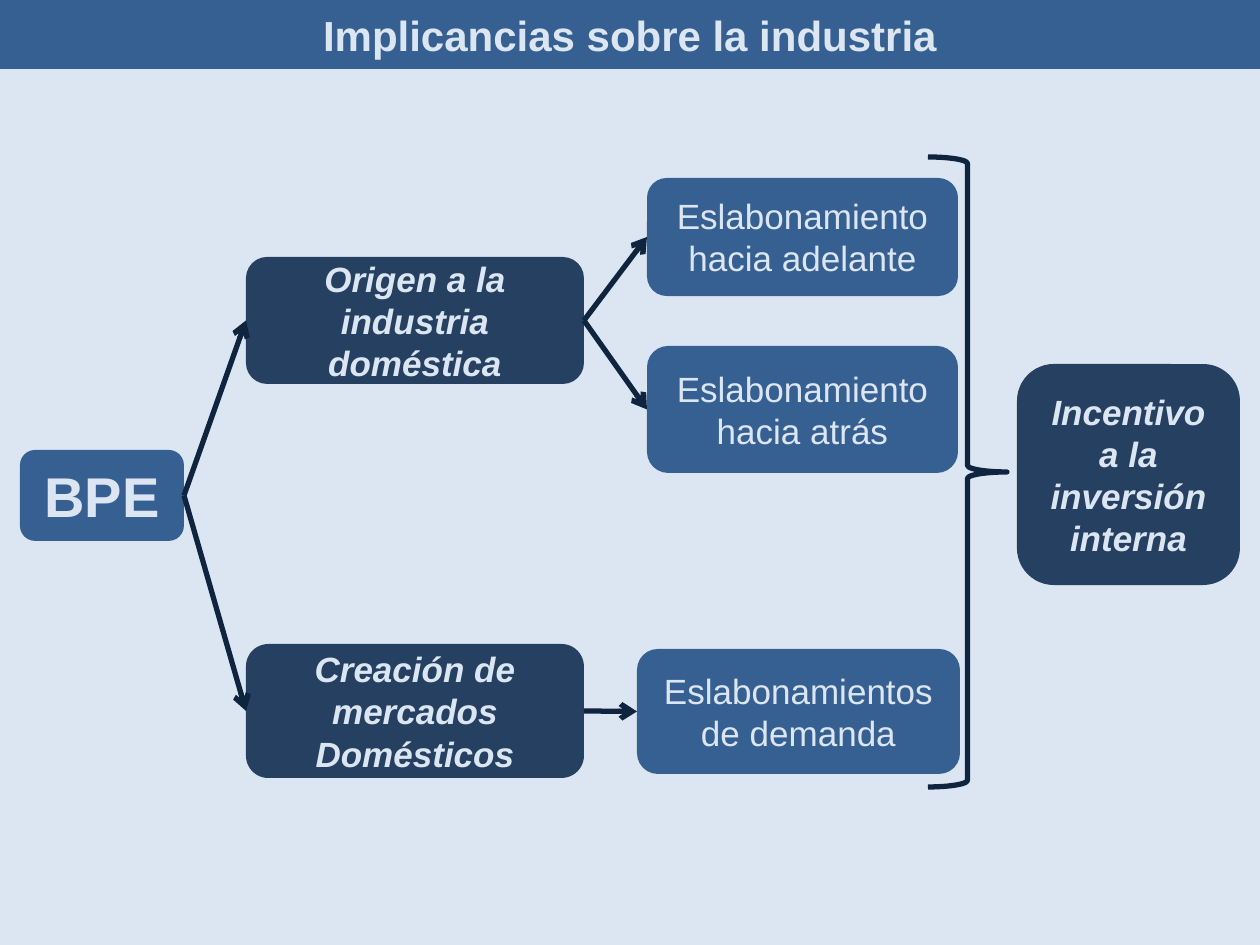
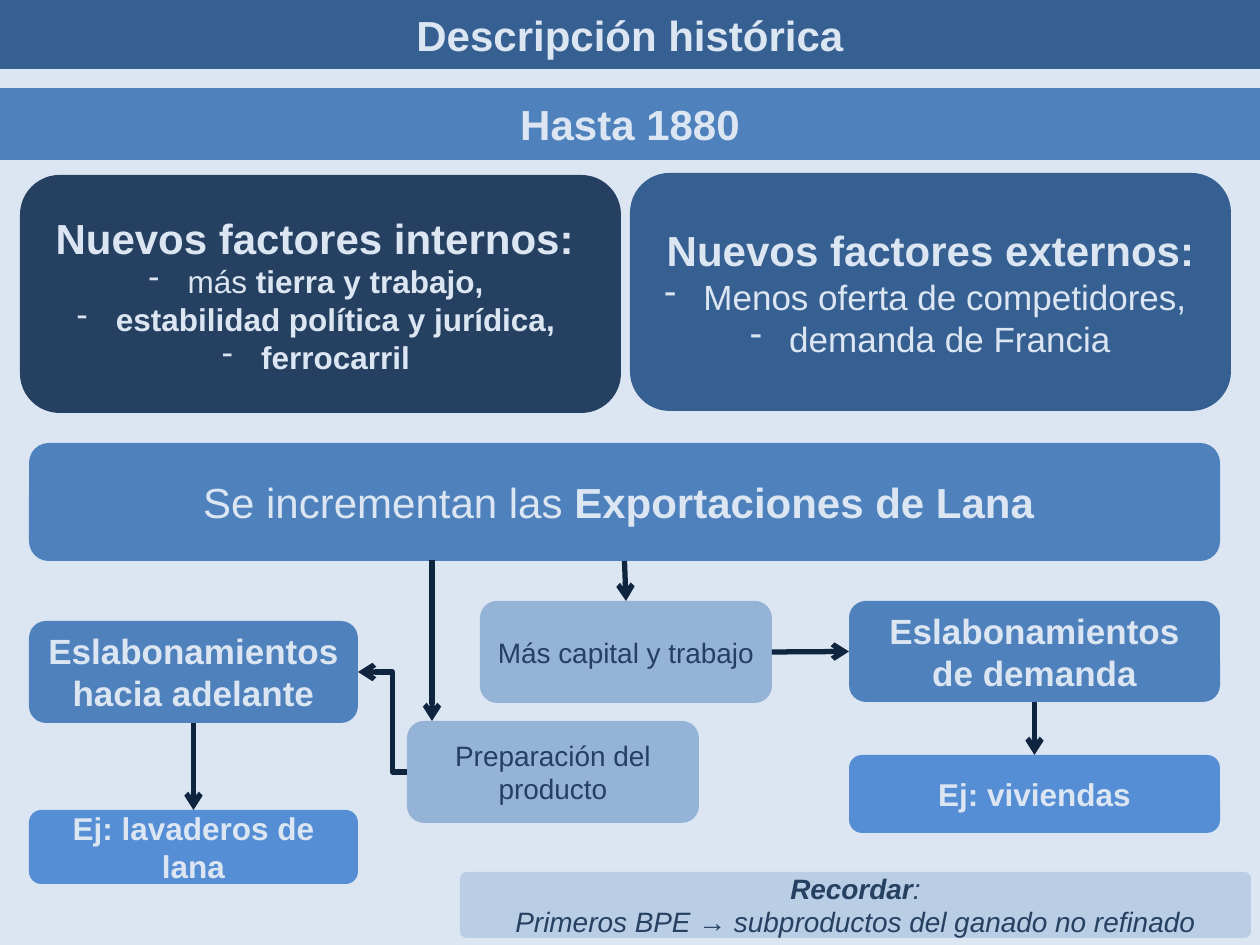
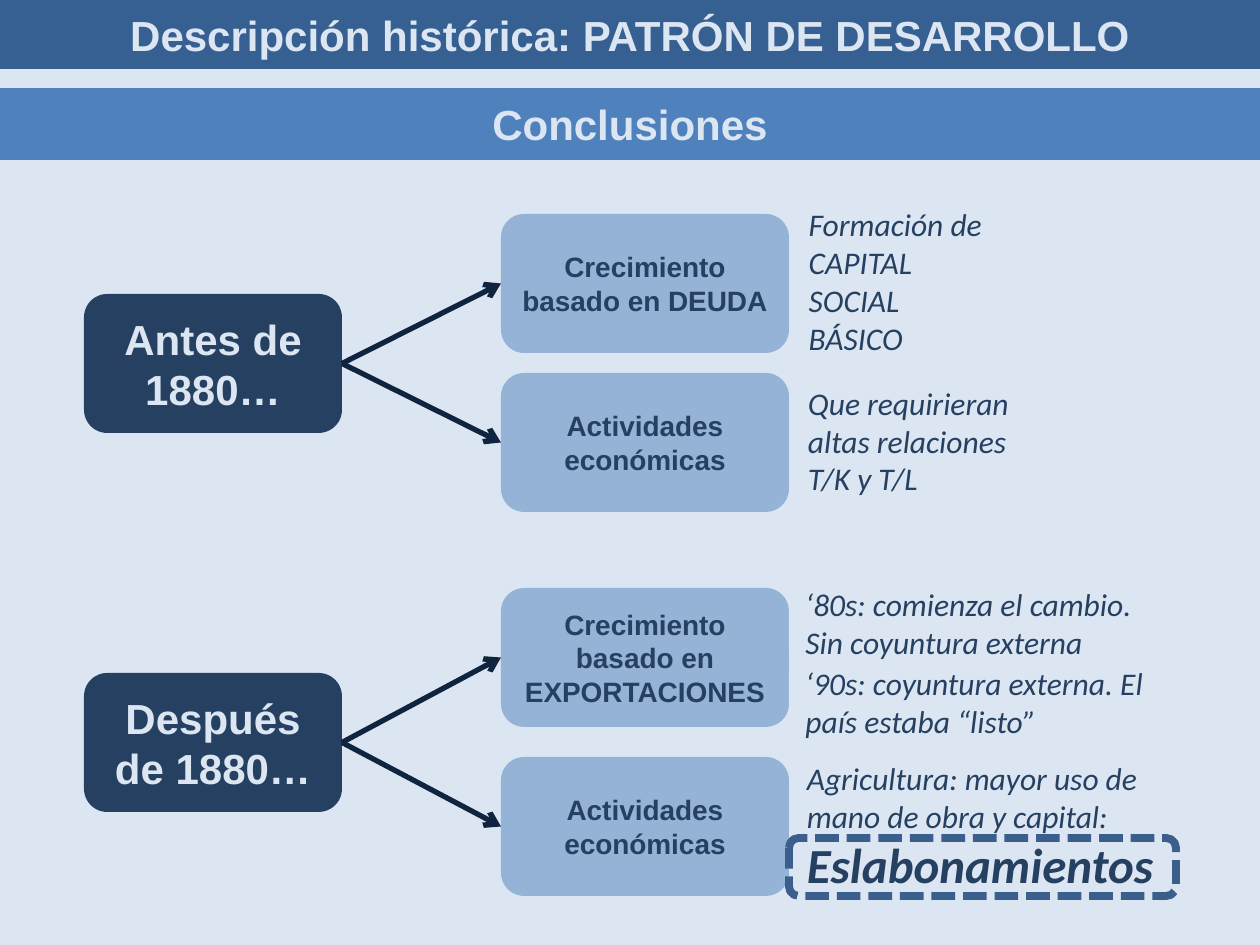
from lxml import etree
from pptx import Presentation
from pptx import util as u
from pptx.dml.color import RGBColor
from pptx.enum import dml, shapes, text
from pptx.oxml.ns import qn

SCALE = 914400 / 126
PALE = RGBColor(0xDC, 0xE6, 0xF2)
MIST = RGBColor(0xB9, 0xCD, 0xE5)
SKY = RGBColor(0x95, 0xB3, 0xD7)
VIVID = RGBColor(0x55, 0x8E, 0xD5)
BLUE = RGBColor(0x4F, 0x81, 0xBD)
STEEL = RGBColor(0x37, 0x60, 0x92)
NAVY = RGBColor(0x25, 0x40, 0x61)
INK = RGBColor(0x0F, 0x24, 0x3E)
DASH = RGBColor(0x3A, 0x5F, 0x8C)
ROUND = shapes.MSO_SHAPE.ROUNDED_RECTANGLE
RECT = shapes.MSO_SHAPE.RECTANGLE
TOP, LEFT, BOTTOM, RIGHT = range(4)


def px(num):
    """Turn pixels into EMU."""
    return u.Emu(round(num * SCALE))


def add(parent, tag, **attrs):
    """Append an XML element with attributes."""
    node = etree.SubElement(parent, qn(tag))
    for key, val in attrs.items():
        node.set(key, val)
    return node


def dash(para):
    """Give a paragraph a hanging dash."""
    props = para._p.get_or_add_pPr()
    props.set("marL", str(px(39)))
    props.set("indent", str(-px(39)))
    add(props, "a:buFontTx")
    add(props, "a:buChar", char="-")


def write(shape, words, size=20, rest=None, loud=None, color=PALE, font="Arial",
          bold=False, italic=False, align=text.PP_ALIGN.CENTER, dashes=False):
    """Write lines into a shape; asterisks enclose bold runs."""
    frame = shape.text_frame
    frame.word_wrap = True
    frame.vertical_anchor = text.MSO_ANCHOR.MIDDLE
    for row, line in enumerate(words.split("\n")):
        para = frame.paragraphs[0] if row == 0 else frame.add_paragraph()
        para.alignment = align
        if dashes and row:
            dash(para)
        for spot, part in enumerate(line.split("*")):
            if not part:
                continue
            run = para.add_run()
            run.text = part
            face = run.font
            strong = spot % 2 == 1
            face.name, face.italic = font, italic
            face.bold = bold or strong
            face.size = u.Pt(loud if loud and strong else rest if rest and row else size)
            face.color.rgb = color


def box(slide, area, fill=None, words="", kind=ROUND, **style):
    """Add a filled shape with text."""
    shape = slide.shapes.add_shape(kind, *map(px, area))
    shape.shadow.inherit = False
    shape.line.fill.background()
    if fill is None:
        shape.fill.background()
    else:
        shape.fill.solid()
        shape.fill.fore_color.rgb = fill
    if words:
        write(shape, words, **style)
    return shape


def edge(line, color=INK, width=3):
    """Set the colour and width of a line."""
    line.color.rgb = color
    line.width = u.Pt(width)


def wire(slide, start=(0, 0), end=(0, 0), kind=shapes.MSO_CONNECTOR.STRAIGHT):
    """Add an arrow between two points."""
    link = slide.shapes.add_connector(kind, *map(px, (*start, *end)))
    edge(link.line)
    add(link.line._get_or_add_ln(), "a:tailEnd", type="arrow")
    add(link._element.spPr, "a:effectLst")
    return link


def join(slide, first, out, last, into, **style):
    """Add an arrow glued to two shapes."""
    link = wire(slide, **style)
    link.begin_connect(first, out)
    link.end_connect(last, into)
    return link


def page(deck, title, band=None):
    """Add a slide with its title and optional band."""
    slide = deck.slides.add_slide(deck.slide_layouts[6])
    box(slide, (0, 0, 1260, 69), STEEL, title, kind=RECT, size=24, bold=True)
    if band:
        box(slide, (0, 88, 1260, 72), BLUE, band, kind=RECT, size=24, bold=True)
    return slide


def industry(deck):
    """Build the slide on industry."""
    slide = page(deck, "Implicancias sobre la industria")
    key = dict(bold=True, italic=True)
    staple = box(slide, (20, 450, 164, 91), STEEL, "BPE", size=32, bold=True)
    source = box(slide, (246, 257, 338, 127), NAVY, "Origen a la industria doméstica", **key)
    market = box(slide, (246, 644, 338, 134), NAVY, "Creación de mercados Domésticos", **key)
    ahead = box(slide, (647, 178, 311, 118), STEEL, "Eslabonamiento hacia adelante")
    back = box(slide, (647, 346, 311, 127), STEEL, "Eslabonamiento hacia atrás")
    demand = box(slide, (637, 649, 323, 125), STEEL, "Eslabonamientos de demanda")
    box(slide, (1017, 364, 223, 221), NAVY, "Incentivo a la inversión interna", **key)
    for first, last in ((staple, source), (staple, market), (source, ahead),
                        (source, back), (market, demand)):
        join(slide, first, RIGHT, last, LEFT)
    brace = box(slide, (928, 157, 79, 630), kind=shapes.MSO_SHAPE.RIGHT_BRACE)
    edge(brace.line)


def history(deck):
    """Build the slide on the years until 1880."""
    slide = page(deck, "Descripción histórica", "Hasta 1880")
    box(slide, (20, 175, 601, 238), NAVY,
        "*Nuevos factores internos: *\nmás *tierra y trabajo, *\n"
        "*estabilidad política y jurídica, *\n*ferrocarril *",
        size=24, rest=18, dashes=True)
    box(slide, (630, 173, 601, 238), STEEL,
        "*Nuevos factores externos:*\nMenos oferta de competidores, \ndemanda de Francia",
        size=24, rest=20, dashes=True)
    wool = box(slide, (29, 443, 1191, 118), BLUE,
               "Se incrementan las *Exportaciones de Lana *", size=24)
    step = dict(size=16, color=NAVY)
    labor = box(slide, (480, 601, 292, 102), SKY, "Más capital y trabajo", **step)
    prep = box(slide, (407, 721, 292, 102), SKY, "Preparación del producto", **step)
    demand = box(slide, (849, 601, 371, 101), BLUE, "Eslabonamientos de demanda", bold=True)
    ahead = box(slide, (29, 621, 329, 102), BLUE, "Eslabonamientos hacia adelante", bold=True)
    homes = box(slide, (849, 755, 371, 78), VIVID, "Ej: viviendas", size=18, bold=True)
    wash = box(slide, (29, 810, 329, 74), VIVID, "Ej: lavaderos de lana", size=18, bold=True)
    note = box(slide, (460, 872, 791, 66), MIST,
               "*Recordar*:\nPrimeros BPE → subproductos del ganado no refinado",
               italic=True, **step)
    note.adjustments[0] = 0.1
    for first, last in ((wool, labor), (demand, homes), (ahead, wash)):
        join(slide, first, BOTTOM, last, TOP)
    join(slide, labor, RIGHT, demand, LEFT)
    wire(slide, (432, 560), (432, 721))
    bend = join(slide, prep, LEFT, ahead, RIGHT, kind=shapes.MSO_CONNECTOR.ELBOW)
    guides = bend._element.spPr.find(qn("a:prstGeom")).get_or_add_avLst()
    add(guides, "a:gd", name="adj1", fmla="val 29600")


def pattern(deck):
    """Build the slide of conclusions."""
    slide = page(deck, "Descripción histórica: PATRÓN DE DESARROLLO", "Conclusiones")
    eras = (
        (294, "Antes de 1880…",
         ((214, "Crecimiento basado en DEUDA"), (373, "Actividades económicas"))),
        (673, "Después de 1880…",
         ((588, "Crecimiento basado en EXPORTACIONES"), (757, "Actividades económicas"))),
    )
    for top, name, causes in eras:
        era = box(slide, (84, top, 258, 139), NAVY, name, size=24, bold=True)
        for high, words in causes:
            cause = box(slide, (501, high, 288, 139), SKY, words,
                        size=16, color=NAVY, bold=True)
            join(slide, era, RIGHT, cause, LEFT)
    notes = (
        (205, 228, 152, None, "Formación de CAPITAL SOCIAL BÁSICO"),
        (373, 268, 135, None, "Que requirieran altas relaciones T/K y T/L"),
        (581, 387, 84, PALE, "‘80s: comienza el cambio. Sin coyuntura externa"),
        (770, 387, 112, None,
         "Agricultura: mayor uso de mano de obra y capital: *Eslabonamientos*"),
        (660, 387, 84, PALE, "‘90s: coyuntura externa. El país estaba “listo”"),
    )
    for top, wide, high, fill, words in notes:
        box(slide, (789, top, wide, high), fill, words, size=18, loud=28, color=NAVY,
            font="Calibri", italic=True, align=text.PP_ALIGN.LEFT)
    frame = box(slide, (789, 838, 387, 58))
    edge(frame.line, DASH, 4.5)
    frame.line.dash_style = dml.MSO_LINE.SQUARE_DOT


def main():
    """Build and save the deck."""
    deck = Presentation()
    deck.slide_width, deck.slide_height = px(1260), px(945)
    back = deck.slide_master.background.fill
    back.solid()
    back.fore_color.rgb = PALE
    for build in (industry, history, pattern):
        build(deck)
    deck.save("out.pptx")


if __name__ == "__main__":
    main()
